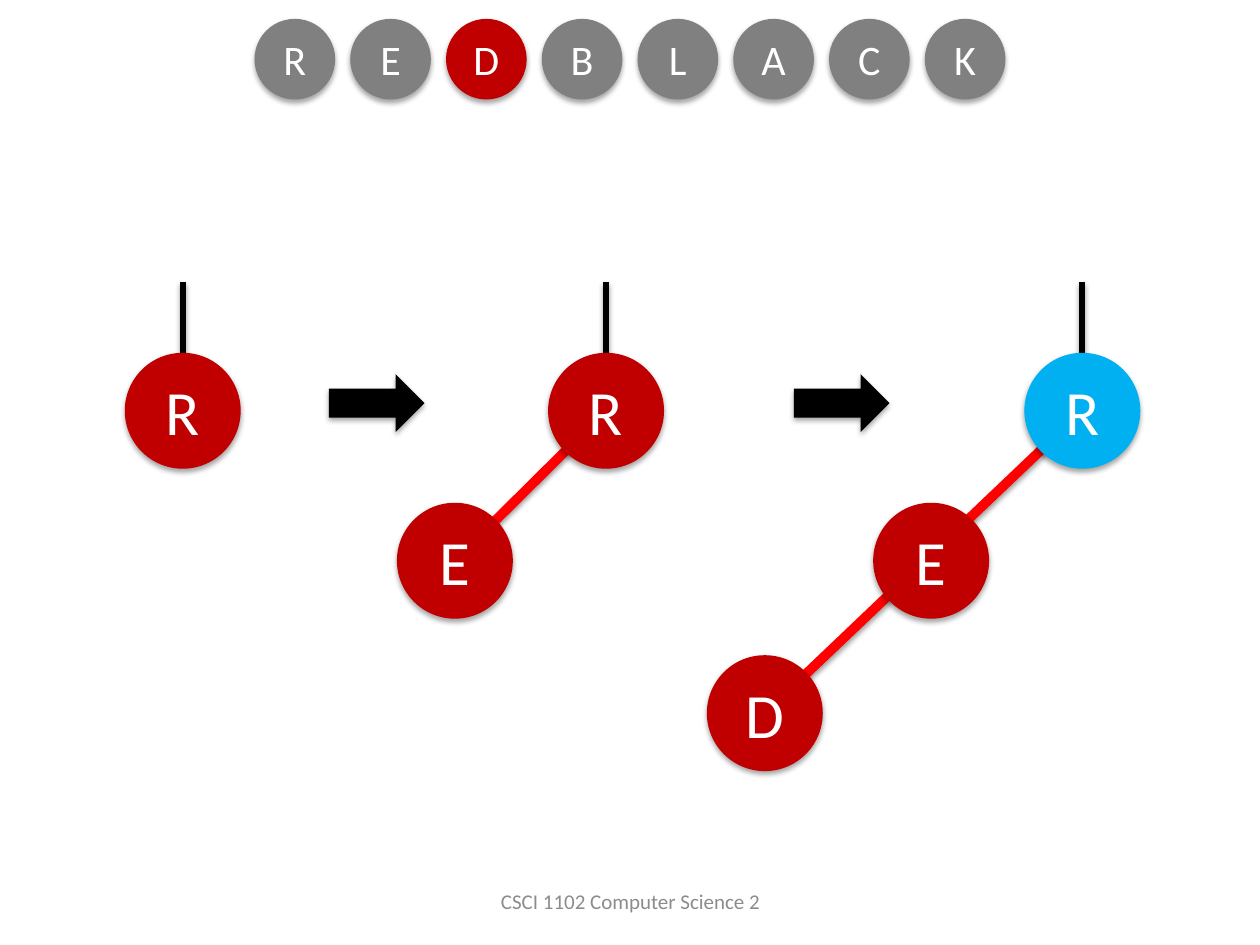
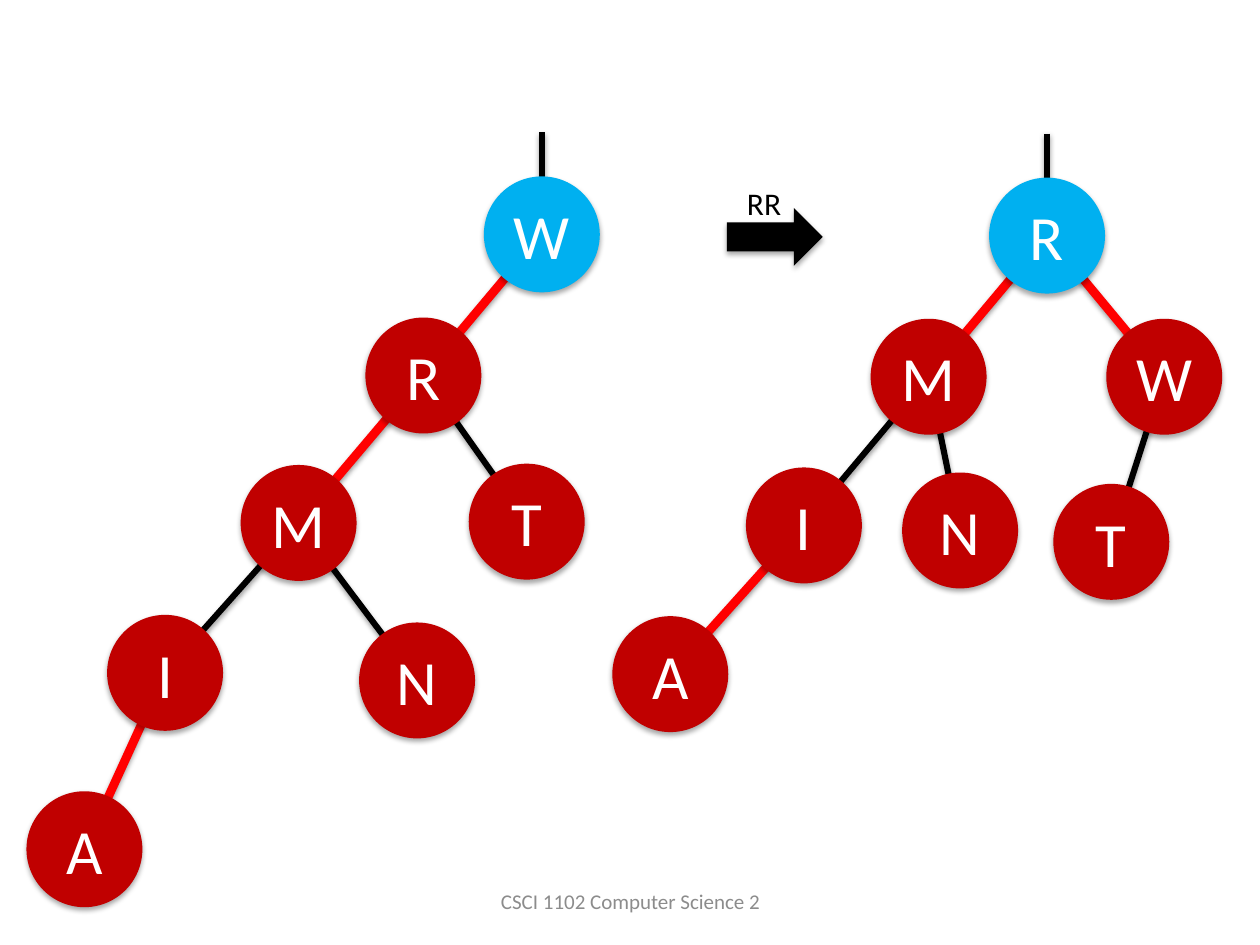
from lxml.etree import SubElement
from pptx import Presentation
from pptx.dml.color import RGBColor
from pptx.enum.shapes import MSO_CONNECTOR as CONNECTOR, MSO_SHAPE as SHAPE
from pptx.enum.text import MSO_ANCHOR as ANCHOR, PP_ALIGN as ALIGN
from pptx.oxml.ns import qn
from pptx.util import Inches, Pt

BLACK = RGBColor(0x00, 0x00, 0x00)
WHITE = RGBColor(0xFF, 0xFF, 0xFF)
NODE_RED = RGBColor(0xC0, 0x00, 0x00)
ROOT_BLUE = RGBColor(0x00, 0xB0, 0xF0)
LINK_RED = RGBColor(0xFF, 0x00, 0x00)
KEY_GRAY = RGBColor(0x80, 0x80, 0x80)
FOOTER_GRAY = RGBColor(0x8C, 0x8C, 0x8C)
FONT = "Calibri"
FOOTER = "CSCI 1102 Computer Science 2"

NODE = 0.92      # diameter of a tree node
STUB = 0.56      # length of the line entering the root
KEY, KEY_STEP, KEYS_LEFT, KEYS_TOP = 0.64, 0.76, 2.02, 0.15

# Each tree: root colour, top of the root's stub, nodes as letter -> (left, top)
# with the root first, and links as pairs of letters.
SLIDES = [
    {
        "keys": "REDBLACK", "current": "D", "red_width": 5.5,
        "arrows": [(2.61, 2.97, None), (6.3, 2.97, None)],
        "trees": [
            {"root": NODE_RED, "stub": 2.24, "nodes": {"R": (0.99, 2.8)}},
            {"root": NODE_RED, "stub": 2.24,
             "nodes": {"R": (4.35, 2.8), "E": (3.15, 3.99)}, "red": ["RE"]},
            # the link from R to D passes behind E
            {"root": ROOT_BLUE, "stub": 2.24,
             "nodes": {"R": (8.13, 2.8), "E": (6.93, 3.99), "D": (5.61, 5.2)},
             "red": ["RD"]},
        ],
    },
    {
        "keys": "", "current": "", "red_width": 5,
        "arrows": [(5.77, 1.65, "RR")],
        "trees": [
            {"root": ROOT_BLUE, "stub": 1.05,
             "nodes": {"W": (3.84, 1.4), "R": (2.9, 2.52), "M": (1.91, 3.69),
                       "T": (3.72, 3.68), "I": (0.85, 4.88), "N": (2.85, 4.94),
                       "A": (0.21, 6.28)},
             "red": ["WR", "RM", "IA"], "black": ["RT", "MI", "MN"]},
            {"root": ROOT_BLUE, "stub": 1.06,
             "nodes": {"R": (7.85, 1.41), "M": (6.91, 2.53), "W": (8.78, 2.53),
                       "I": (5.92, 3.71), "N": (7.16, 3.75), "T": (8.36, 3.84),
                       "A": (4.86, 4.89)},
             "red": ["RM", "RW", "IA"], "black": ["MI", "MN", "WT"]},
        ],
    },
]


def add_shadow(s, distance, alpha):
    """Soft black shadow straight below; call after fill and line are set."""
    effects = SubElement(s._element.spPr, qn("a:effectLst"))
    outer = SubElement(effects, qn("a:outerShdw"), blurRad=str(Pt(3.1)),
                       dist=str(Pt(distance)), dir="5400000", rotWithShape="0")
    color = SubElement(outer, qn("a:srgbClr"), val=str(BLACK))
    SubElement(color, qn("a:alpha"), val=str(alpha * 1000))


def write(s, text, size, color, align=ALIGN.CENTER, anchor=ANCHOR.MIDDLE,
          wrap=True, margin=0.0):
    tf = s.text_frame
    tf.word_wrap = wrap
    tf.vertical_anchor = anchor
    tf.margin_left = tf.margin_right = Inches(margin)
    tf.margin_top = tf.margin_bottom = Inches(margin / 2)
    p = tf.paragraphs[0]
    p.alignment = align
    r = p.add_run()
    r.text = text
    r.font.name, r.font.size, r.font.color.rgb = FONT, Pt(size), color


def add_solid(slide, kind, left, top, width, height, color):
    s = slide.shapes.add_shape(kind, Inches(left), Inches(top),
                               Inches(width), Inches(height))
    s.fill.solid()
    s.fill.fore_color.rgb = color
    s.line.fill.background()
    add_shadow(s, 1.8, 35)
    return s


def add_circle(slide, letter, left, top, diameter, size, color):
    s = add_solid(slide, SHAPE.OVAL, left, top, diameter, diameter, color)
    write(s, letter, size, WHITE)


def add_line(slide, start, end, color, width):
    s = slide.shapes.add_connector(CONNECTOR.STRAIGHT,
                                   *(Inches(v) for v in (*start, *end)))
    s.line.color.rgb = color
    s.line.width = Pt(width)
    add_shadow(s, 1.6, 38)


def add_tree(slide, tree, red_width):
    nodes = tree["nodes"]
    root = next(iter(nodes))
    centers = {k: (x + NODE / 2, y + NODE / 2) for k, (x, y) in nodes.items()}
    x, top = centers[root][0], tree["stub"]
    add_line(slide, (x, top), (x, top + STUB), BLACK, 3.5)
    for links, color, width in (("black", BLACK, 3.5),
                                ("red", LINK_RED, red_width)):
        for parent, child in tree.get(links, []):
            add_line(slide, centers[parent], centers[child], color, width)
    for letter, (left, top) in nodes.items():
        color = tree["root"] if letter == root else NODE_RED
        add_circle(slide, letter, left, top, NODE, 36, color)


def add_arrow(slide, left, top, label):
    add_solid(slide, SHAPE.RIGHT_ARROW, left, top, 0.76, 0.46, BLACK)
    if label:
        s = slide.shapes.add_textbox(Inches(left + 0.06), Inches(top - 0.24),
                                     Inches(0.48), Inches(0.4))
        write(s, label, 18, BLACK, align=ALIGN.LEFT, anchor=ANCHOR.TOP,
              wrap=False, margin=0.1)


def add_footer(slide):
    s = slide.shapes.add_textbox(Inches(3.42), Inches(6.95),
                                 Inches(3.17), Inches(0.4))
    write(s, FOOTER, 12, FOOTER_GRAY, margin=0.1)


def main():
    prs = Presentation()
    prs.slide_width, prs.slide_height = Inches(10), Inches(7.5)
    for content in SLIDES:
        slide = prs.slides.add_slide(prs.slide_layouts[6])
        add_footer(slide)
        for tree in content["trees"]:
            add_tree(slide, tree, content["red_width"])
        for arrow in content["arrows"]:
            add_arrow(slide, *arrow)
        for i, letter in enumerate(content["keys"]):
            color = NODE_RED if letter == content["current"] else KEY_GRAY
            add_circle(slide, letter, KEYS_LEFT + i * KEY_STEP, KEYS_TOP,
                       KEY, 24, color)
    prs.save("out.pptx")


if __name__ == "__main__":
    main()
